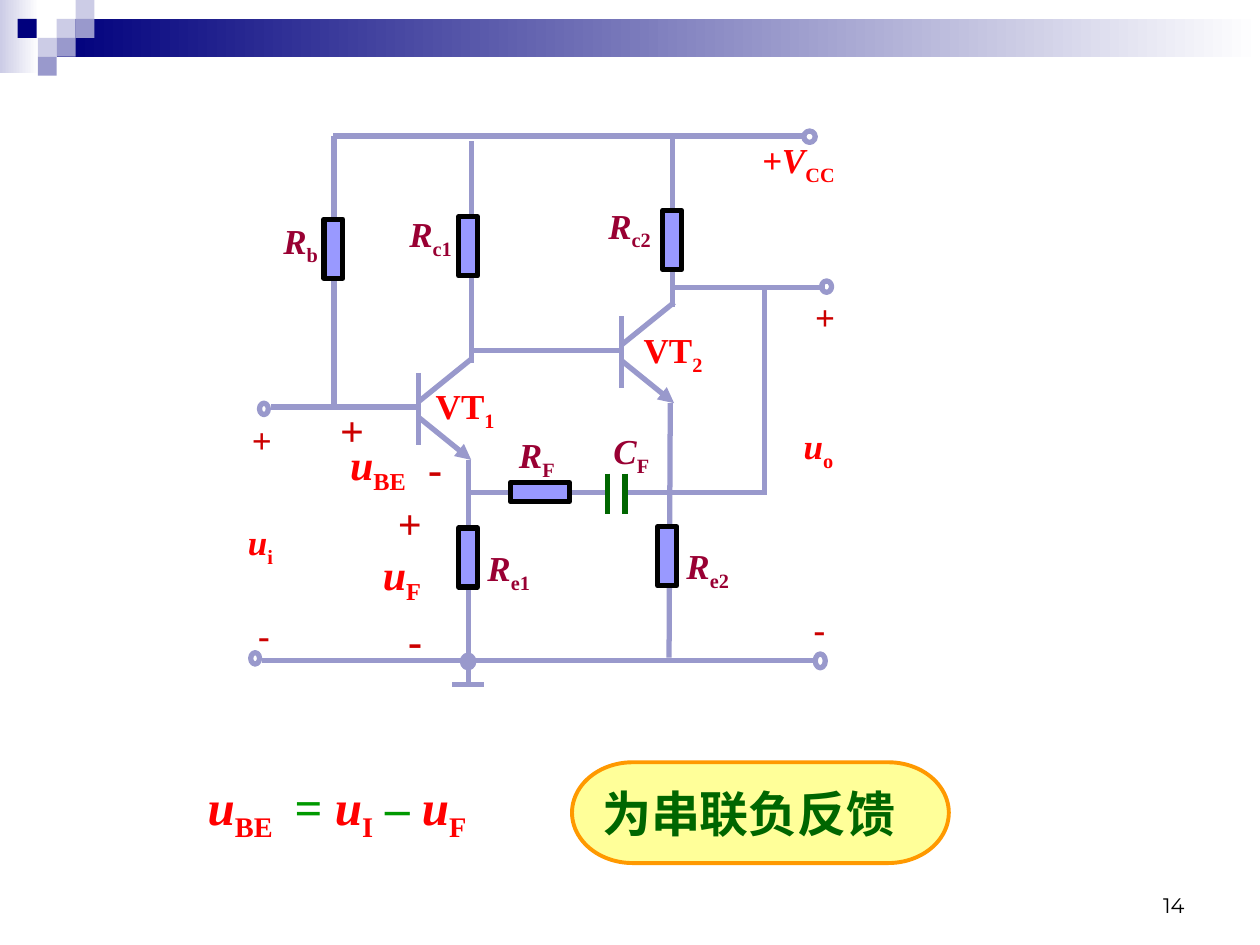
from dataclasses import dataclass

from lxml.etree import SubElement
from pptx import Presentation
from pptx.dml.color import RGBColor
from pptx.enum.shapes import MSO_CONNECTOR, MSO_SHAPE as Preset
from pptx.enum.text import MSO_ANCHOR as Anchor, PP_ALIGN as Align
from pptx.oxml.ns import qn
from pptx.util import Inches, Pt

WIRE, PLATE, RED, SIGN, WINE, GREEN = "9999CC", "006600", "FF0000", "CC0000", "990033", "009900"
NAVY, PALE, WHITE = "00007D", "CCCCE6", "FFFFFF"
SERIF = "Times New Roman"


@dataclass(frozen=True)
class Run:
    text: str
    color: str = RED
    italic: bool = False
    sub: bool = False


@dataclass(frozen=True)
class Label:
    """A circuit symbol with its subscript, or a polarity sign without one."""
    left: float
    top: float
    width: float
    symbol: str
    sub: str = ""
    color: str = SIGN
    size: int = 20
    italic: bool = True


@dataclass(frozen=True)
class Wire:
    x1: float
    y1: float
    x2: float
    y2: float
    color: str = WIRE
    arrow: bool = False


@dataclass(frozen=True)
class Resistor:
    left: float
    top: float
    rotation: int = 90


@dataclass(frozen=True)
class Node:
    left: float
    top: float
    width: float
    height: float
    fill: str | None = None


WIRES = [
    Wire(3.72, 3.65, 3.72, 5.43), Wire(3.74, 2.88, 3.74, 1.12),
    Wire(3.32, 3.23, 2.15, 3.23), Wire(5.32, 3.2, 5.31, 5.22),
    Wire(5.34, 2.44, 5.34, 1.08), Wire(4.93, 2.78, 3.74, 2.78),
    Wire(6.08, 3.91, 4.97, 3.91), Wire(6.07, 2.29, 6.07, 3.93),
    Wire(6.55, 2.28, 5.36, 2.28), Wire(2.08, 5.24, 6.47, 5.24),
    Wire(6.39, 1.08, 2.64, 1.08), Wire(4.81, 3.91, 3.73, 3.91),
    Wire(2.65, 3.25, 2.65, 1.08), Wire(3.59, 5.43, 3.84, 5.43),
    Wire(4.82, 3.76, 4.82, 4.08, PLATE), Wire(4.96, 3.76, 4.96, 4.08, PLATE),
]
TRANSISTOR_BASES = [(3.32, 2.96), (4.93, 2.51)]
NODES = [
    Node(6.47, 5.19, 0.08, 0.11), Node(6.38, 1.04, 0.09, 0.09),
    Node(6.52, 2.23, 0.08, 0.09), Node(2.06, 3.2, 0.07, 0.09),
    Node(1.99, 5.18, 0.07, 0.09), Node(3.67, 5.2, 0.09, 0.1, WIRE),
]
RESISTORS = [
    Resistor(4.05, 3.83, 0), Resistor(2.41, 1.9), Resistor(3.48, 4.35),
    Resistor(5.1, 1.83), Resistor(3.48, 1.88), Resistor(5.06, 4.34),
]
LABELS = [
    Label(3.06, 3.9, 0.5, "+", size=24), Label(3.14, 4.83, 0.5, "-", size=24),
    Label(2.94, 4.3, 0.69, "u", "F", RED, 24),
    Label(2.6, 3.16, 0.51, "+", size=24), Label(3.3, 3.46, 0.51, "-", size=24),
    Label(2.68, 3.43, 0.86, "u", "BE", RED, 24),
    Label(3.36, 3, 0.82, "VT", "1", RED, italic=False),
    Label(5.01, 2.56, 0.82, "VT", "2", RED, italic=False),
    Label(4.73, 1.57, 0.63, "R", "c2", WINE), Label(3.15, 1.64, 0.63, "R", "c1", WINE),
    Label(5.35, 4.27, 0.67, "R", "e2", WINE), Label(3.77, 4.29, 0.65, "R", "e1", WINE),
    Label(4.02, 3.39, 0.58, "R", "F", WINE), Label(4.77, 3.36, 0.61, "C", "F", WINE),
    Label(2.15, 1.69, 0.56, "R", "b", WINE),
    Label(5.95, 1.05, 0.96, "+V", "CC", RED),
    Label(6.28, 3.32, 0.52, "u", "o", RED), Label(1.87, 4.08, 0.5, "u", "i", RED),
    Label(6.37, 2.3, 0.45, "+"), Label(6.36, 4.77, 0.36, "-"),
    Label(1.9, 3.27, 0.4, "+"), Label(1.95, 4.82, 0.32, "-"),
]
BANNER_SQUARES = [
    (0.45, 0.15, PALE), (0.6, 0, PALE), (0.6, 0.15, WIRE), (0.3, 0.3, PALE),
    (0.14, 0.15, NAVY), (0.45, 0.3, WIRE), (0.3, 0.45, WIRE),
]


def rgb(color: str) -> RGBColor:
    return RGBColor.from_string(color)


def write(frame, *runs: Run, size: int, font: str = SERIF, bold: bool = True,
          align=Align.LEFT, anchor=Anchor.TOP, wrap: bool = True, tab: float | None = None):
    frame.word_wrap, frame.vertical_anchor = wrap, anchor
    paragraph = frame.paragraphs[0]
    paragraph.alignment = align
    if tab is not None:
        tabs = SubElement(paragraph._p.get_or_add_pPr(), qn("a:tabLst"))
        SubElement(tabs, qn("a:tab"), pos=str(Inches(tab)), algn="l")
    for item in runs:
        run = paragraph.add_run()
        run.text = item.text
        run.font.size, run.font.name = Pt(size), font
        run.font.bold, run.font.italic = bold, item.italic
        run.font.color.rgb = rgb(item.color)
        if item.sub:
            run.font._element.set("baseline", "-25000")


def add_text(slide, left: float, top: float, width: float, height: float, *runs: Run, **style):
    box = slide.shapes.add_textbox(*map(Inches, (left, top, width, height)))
    write(box.text_frame, *runs, **style)


def draw_shape(slide, preset, left: float, top: float, width: float, height: float,
               fill: str | None = None, line: str | None = None, weight: float = 3):
    shape = slide.shapes.add_shape(preset, *map(Inches, (left, top, width, height)))
    shape.shadow.inherit = False
    if fill:
        shape.fill.solid()
        shape.fill.fore_color.rgb = rgb(fill)
    else:
        shape.fill.background()
    if line:
        shape.line.color.rgb = rgb(line)
        shape.line.width = Pt(weight)
    else:
        shape.line.fill.background()
    return shape


def draw_fade(slide, left: float, top: float, width: float, height: float, start: str):
    """Draw a bar that fades from the start colour to white, left to right."""
    bar = draw_shape(slide, Preset.RECTANGLE, left, top, width, height)
    bar.fill.gradient()
    bar.fill.gradient_angle = 0
    for stop, color in zip(bar.fill.gradient_stops, (start, WHITE)):
        stop.color.rgb = rgb(color)


def draw_wire(slide, wire: Wire):
    ends = map(Inches, (wire.x1, wire.y1, wire.x2, wire.y2))
    connector = slide.shapes.add_connector(MSO_CONNECTOR.STRAIGHT, *ends)
    connector.line.color.rgb = rgb(wire.color)
    connector.line.width = Pt(3)
    if wire.arrow:
        SubElement(connector.line._get_or_add_ln(), qn("a:tailEnd"), type="triangle")
    SubElement(connector._element.spPr, qn("a:effectLst"))


def draw_transistor(slide, x: float, y: float):
    """Draw base bar, collector and emitter; x, y is the top of the base bar."""
    draw_wire(slide, Wire(x, y, x, y + 0.57))
    draw_wire(slide, Wire(x, y + 0.23, x + 0.42, y - 0.11))
    draw_wire(slide, Wire(x, y + 0.35, x + 0.42, y + 0.69, arrow=True))


def draw_label(slide, label: Label):
    runs = [Run(label.symbol, label.color, bool(label.sub) and label.italic)]
    height = 0.44 if label.size == 20 else 0.5
    if label.sub:
        runs.append(Run(label.sub, label.color, sub=True))
        height += 0.05
    add_text(slide, label.left, label.top, label.width, height, *runs, size=label.size)


def draw_banner(slide):
    draw_fade(slide, 0, 0, 0.31, 0.58, PALE)
    draw_fade(slide, 0.45, 0.15, 9.55, 0.3, NAVY)
    for left, top, color in BANNER_SQUARES:
        draw_shape(slide, Preset.RECTANGLE, left, top, 0.15, 0.15, color)


def draw_circuit(slide):
    for wire in WIRES:
        draw_wire(slide, wire)
    for x, y in TRANSISTOR_BASES:
        draw_transistor(slide, x, y)
    for node in NODES:
        draw_shape(slide, Preset.OVAL, node.left, node.top, node.width, node.height, node.fill, WIRE)
    for resistor in RESISTORS:
        body = draw_shape(slide, Preset.RECTANGLE, resistor.left, resistor.top,
                          0.47, 0.15, "9999FF", "000000")
        body.rotation = resistor.rotation
    for label in LABELS:
        draw_label(slide, label)


def draw_conclusion(slide):
    add_text(slide, 1.55, 6.11, 2.51, 0.63,
             Run("u", italic=True), Run("BE", sub=True), Run("\t= ", GREEN),
             Run("u", italic=True), Run("I", sub=True), Run(" – ", GREEN),
             Run("u", italic=True), Run("F", sub=True), size=28, tab=0.69)
    verdict = draw_shape(slide, Preset.FLOWCHART_TERMINATOR, 4.54, 6.05, 2.99, 0.8,
                         "FFFF99", "FF9900", 2.25)
    write(verdict.text_frame, Run("为串联负反馈", PLATE), size=28,
          anchor=Anchor.MIDDLE, wrap=False)


def main():
    deck = Presentation()
    deck.slide_width, deck.slide_height = Inches(10), Inches(7.5)
    slide = deck.slides.add_slide(deck.slide_layouts[6])
    draw_banner(slide)
    draw_circuit(slide)
    draw_conclusion(slide)
    add_text(slide, 7.17, 6.83, 2.33, 0.5, Run("14", "000000"), size=12,
             font="Montserrat", bold=False, align=Align.RIGHT, anchor=Anchor.BOTTOM)
    deck.save("out.pptx")


if __name__ == "__main__":
    main()
